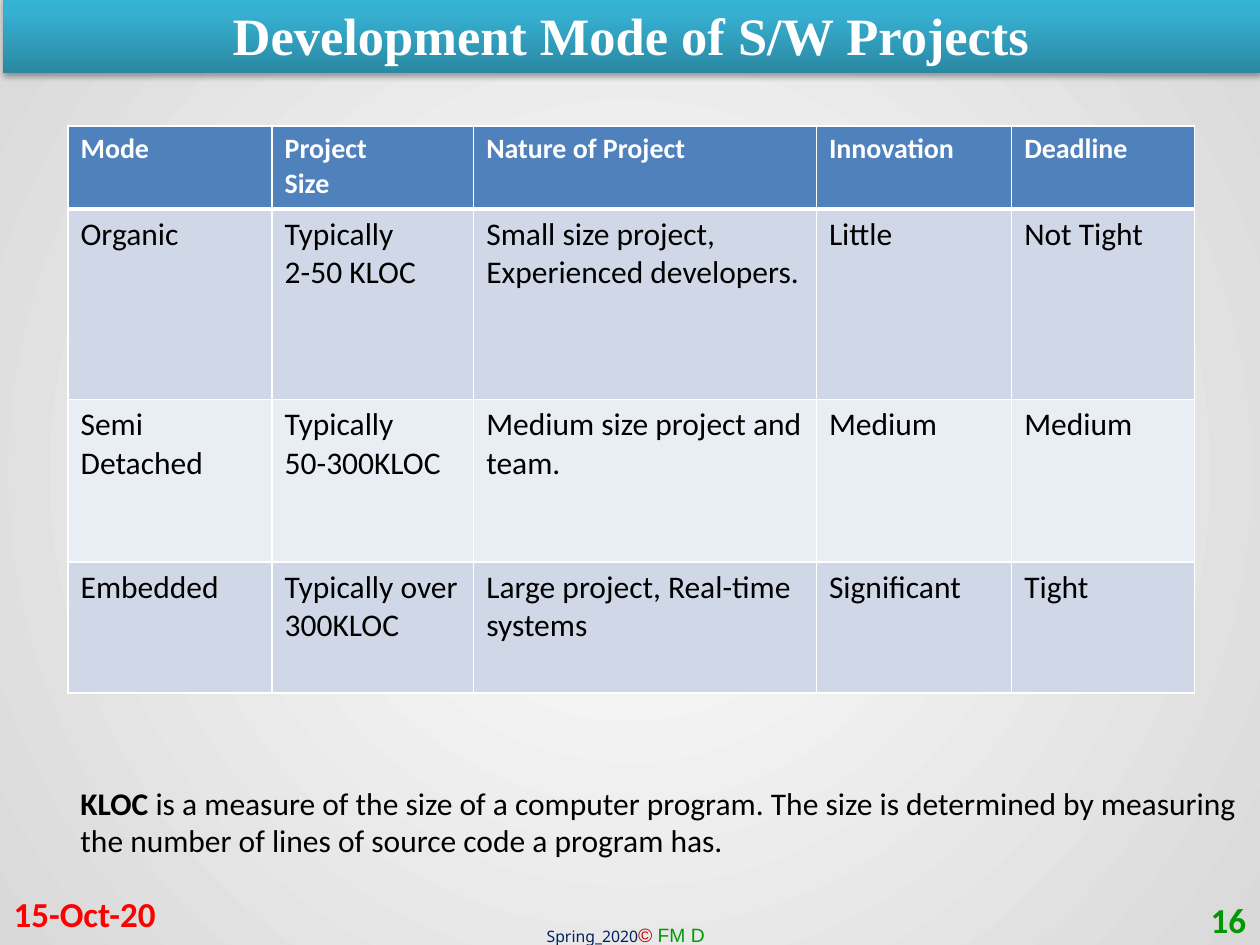
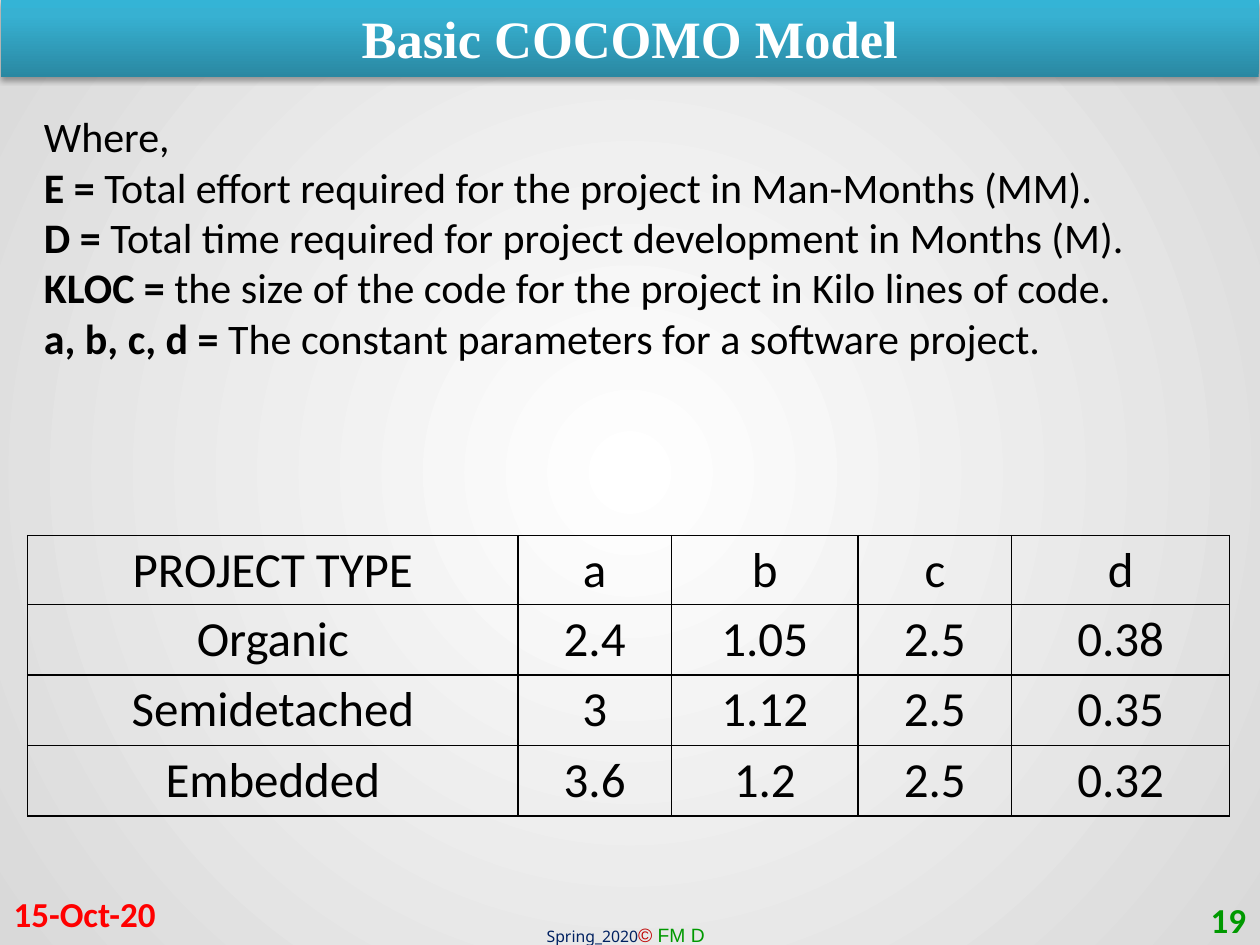
from typing import NamedTuple

from lxml import etree
from pptx import Presentation
from pptx import util as u
from pptx.dml.color import RGBColor
from pptx.enum import text
from pptx.oxml import ns

PX = 9144
BLACK = RGBColor(0x00, 0x00, 0x00)
WHITE = RGBColor(0xFF, 0xFF, 0xFF)
PALE_GRAY = RGBColor(0xD9, 0xD9, 0xD9)
BAND_DARK = RGBColor(0x2A, 0x88, 0xA2)
BAND_MID = RGBColor(0x37, 0xB1, 0xD2)
BAND_LIGHT = RGBColor(0x34, 0xB4, 0xD6)
HEADER_BLUE = RGBColor(0x4F, 0x81, 0xBD)
ROW_DARK = RGBColor(0xD0, 0xD8, 0xE8)
ROW_LIGHT = RGBColor(0xE9, 0xED, 0xF4)
RED = RGBColor(0xFF, 0x00, 0x00)
DARK_RED = RGBColor(0xC0, 0x00, 0x00)
GREEN = RGBColor(0x00, 0x99, 0x00)
NAVY = RGBColor(0x00, 0x20, 0x60)

LEFT, CENTER, RIGHT = text.PP_ALIGN.LEFT, text.PP_ALIGN.CENTER, text.PP_ALIGN.RIGHT
TOP, MIDDLE = text.MSO_ANCHOR.TOP, text.MSO_ANCHOR.MIDDLE


class Style(NamedTuple):
    size: int
    color: RGBColor = BLACK
    bold: bool = False
    italic: bool = False
    font: str = "Calibri"


TITLE = Style(30, WHITE, bold=True, font="Times New Roman")
DATE = Style(20, RED, bold=True)
NUMBER = Style(20, GREEN, bold=True)
HEADER = Style(16, WHITE, bold=True)
BODY = Style(18)
TERMS = Style(24)
VALUES = Style(28)

FOOTER = [
    ("Spring_2020", Style(9, NAVY, font="Noto Sans")),
    ("© ", Style(11, DARK_RED, italic=True, font="Arial")),
    ("FM D", Style(11, GREEN, font="Arial")),
]


def px(*lengths):
    return [u.Emu(length * PX) for length in lengths]


def element(parent, tag, **attributes):
    child = etree.SubElement(parent, ns.qn(tag))
    for key, value in attributes.items():
        child.set(key, str(value))
    return child


def gradient(fill_parent, stops):
    fill = fill_parent.find(ns.qn("a:solidFill"))
    grad = etree.Element(ns.qn("a:gradFill"), rotWithShape="1")
    stop_list = element(grad, "a:gsLst")
    for percent, color in stops:
        stop = element(stop_list, "a:gs", pos=percent * 1000)
        element(stop, "a:srgbClr", val=color)
    fill_parent.replace(fill, grad)
    return grad


class Deck:
    def __init__(self):
        self.prs = Presentation()
        self.prs.slide_width, self.prs.slide_height = px(1000, 750)
        self.slide = None
        self.paint_background()

    def paint_background(self):
        background = self.prs.slide_master.background
        background.fill.solid()
        properties = self.prs.slide_master.element.find(".//" + ns.qn("p:bgPr"))
        grad = gradient(properties, [(0, WHITE), (100, PALE_GRAY)])
        circle = element(grad, "a:path", path="circle")
        element(circle, "a:fillToRect", l=50000, t=50000, r=50000, b=50000)

    def new_slide(self, title, number, band):
        self.slide = self.prs.slides.add_slide(self.prs.slide_layouts[5])
        self.title_band(title, band)
        self.text_box([FOOTER], (424, 728, 151, 29), wrap=False)
        self.text_box([[("15-Oct-20", DATE)]], (1, 705, 233, 40), anchor=MIDDLE)
        self.text_box([[(number, NUMBER)]], (766, 710, 233, 40), RIGHT, MIDDLE)

    def title_band(self, title, box):
        band = self.slide.shapes.title
        band.left, band.top, band.width, band.height = px(*box)
        band.fill.solid()
        properties = band.element.spPr
        grad = gradient(properties, [(0, BAND_DARK), (80, BAND_MID), (100, BAND_LIGHT)])
        element(grad, "a:lin", ang=270 * 60000, scaled=0)
        effects = element(properties, "a:effectLst")
        shadow = element(effects, "a:outerShdw", blurRad=u.Pt(3.1), dist=u.Pt(1.8),
                         dir=90 * 60000, rotWithShape=0)
        element(element(shadow, "a:srgbClr", val=BLACK), "a:alpha", val=35000)
        frame = band.text_frame
        frame.auto_size = text.MSO_AUTO_SIZE.NONE
        frame.vertical_anchor = TOP
        self.add_runs(frame, [[(title, TITLE)]], CENTER)

    def add_runs(self, frame, paragraphs, align=LEFT):
        for index, runs in enumerate(paragraphs):
            paragraph = frame.add_paragraph() if index else frame.paragraphs[0]
            paragraph.alignment = align
            for words, style in runs:
                run = paragraph.add_run()
                run.text = words
                run.font.name = style.font
                run.font.size = u.Pt(style.size)
                run.font.bold = style.bold
                run.font.italic = style.italic
                run.font.color.rgb = style.color

    def text_box(self, paragraphs, box, align=LEFT, anchor=TOP, wrap=True):
        frame = self.slide.shapes.add_textbox(*px(*box)).text_frame
        frame.word_wrap = wrap
        frame.vertical_anchor = anchor
        self.add_runs(frame, paragraphs, align)

    def table(self, rows, corner, widths, heights, line_color):
        box = px(*corner, sum(widths), sum(heights))
        table = self.slide.shapes.add_table(len(rows), len(widths), *box).table
        table.first_row = table.horz_banding = False
        for column, width in zip(table.columns, px(*widths)):
            column.width = width
        for row, height in zip(table.rows, px(*heights)):
            row.height = height
        for cell in table.iter_cells():
            self.borders(cell, line_color)
        return table

    def borders(self, cell, color, **widths):
        properties = cell._tc.get_or_add_tcPr()
        for line in properties.xpath("a:lnL|a:lnR|a:lnT|a:lnB"):
            properties.remove(line)
        for side in "LRTB":
            line = element(properties, f"a:ln{side}", w=u.Pt(widths.get(side, 1)))
            element(element(line, "a:solidFill"), "a:srgbClr", val=color)

    def mode_table(self, rows):
        table = self.table(rows, (54, 100), (162, 160, 272, 155, 145),
                           (66, 151, 129, 104), WHITE)
        fills = (HEADER_BLUE, ROW_DARK, ROW_LIGHT, ROW_DARK)
        for r, (row, fill) in enumerate(zip(rows, fills)):
            style = BODY if r else HEADER
            for c, words in enumerate(row):
                cell = table.cell(r, c)
                if r < 2:
                    self.borders(cell, WHITE, **{"T" if r else "B": 3})
                cell.fill.solid()
                cell.fill.fore_color.rgb = fill
                self.add_runs(cell.text_frame, [[(part, style)] for part in words.split("\n")])

    def constants_table(self, rows):
        table = self.table(rows, (22, 425), (389, 122, 148, 122, 173),
                           (48, 56, 56, 56), BLACK)
        for r, row in enumerate(rows):
            for c, words in enumerate(row):
                cell = table.cell(r, c)
                cell.fill.background()
                cell.vertical_anchor = MIDDLE
                cell.margin_left, cell.margin_right = px(8, 8)
                cell.margin_top, cell.margin_bottom = px(4, 4)
                self.add_runs(cell.text_frame, [[(words, VALUES)]], CENTER)


MODES = [
    ("Mode", "Project\nSize", "Nature of Project", "Innovation", "Deadline"),
    ("Organic", "Typically\n2-50 KLOC", "Small size project, Experienced developers.",
     "Little", "Not Tight"),
    ("Semi Detached", "Typically\n50-300KLOC", "Medium size project and team.",
     "Medium", "Medium"),
    ("Embedded", "Typically over 300KLOC", "Large project, Real-time systems",
     "Significant", "Tight"),
]

DEFINITIONS = [
    ("E", "Total effort required for the project in Man-Months (MM)."),
    ("D", "Total time required for project development in Months (M)."),
    ("KLOC", "the size of the code for the project in Kilo lines of code."),
    ("a, b, c, d", "The constant parameters for a software project."),
]

CONSTANTS = [
    ("PROJECT TYPE", "a", "b", "c", "d"),
    ("Organic", "2.4", "1.05", "2.5", "0.38"),
    ("Semidetached", "3", "1.12", "2.5", "0.35"),
    ("Embedded", "3.6", "1.2", "2.5", "0.32"),
]


def main():
    deck = Deck()

    deck.new_slide("Development Mode of S/W Projects", "16", (2, -3, 998, 61))
    deck.mode_table(MODES)
    kloc_note = [
        ("KLOC", BODY._replace(bold=True)),
        (" is a measure of the size of a computer program. The size is determined "
         "by measuring the number of lines of source code a program has.", BODY),
    ]
    deck.text_box([kloc_note], (54, 617, 942, 71))

    deck.new_slide("Basic COCOMO Model", "19", (1, 0, 998, 61))
    definitions = [[("Where,", TERMS)]]
    for term, meaning in DEFINITIONS:
        definitions.append([(f"{term} =", TERMS._replace(bold=True)),
                            (f" {meaning}", TERMS)])
    deck.text_box(definitions, (25, 83, 958, 212))
    deck.constants_table(CONSTANTS)

    deck.prs.save("out.pptx")


if __name__ == "__main__":
    main()
